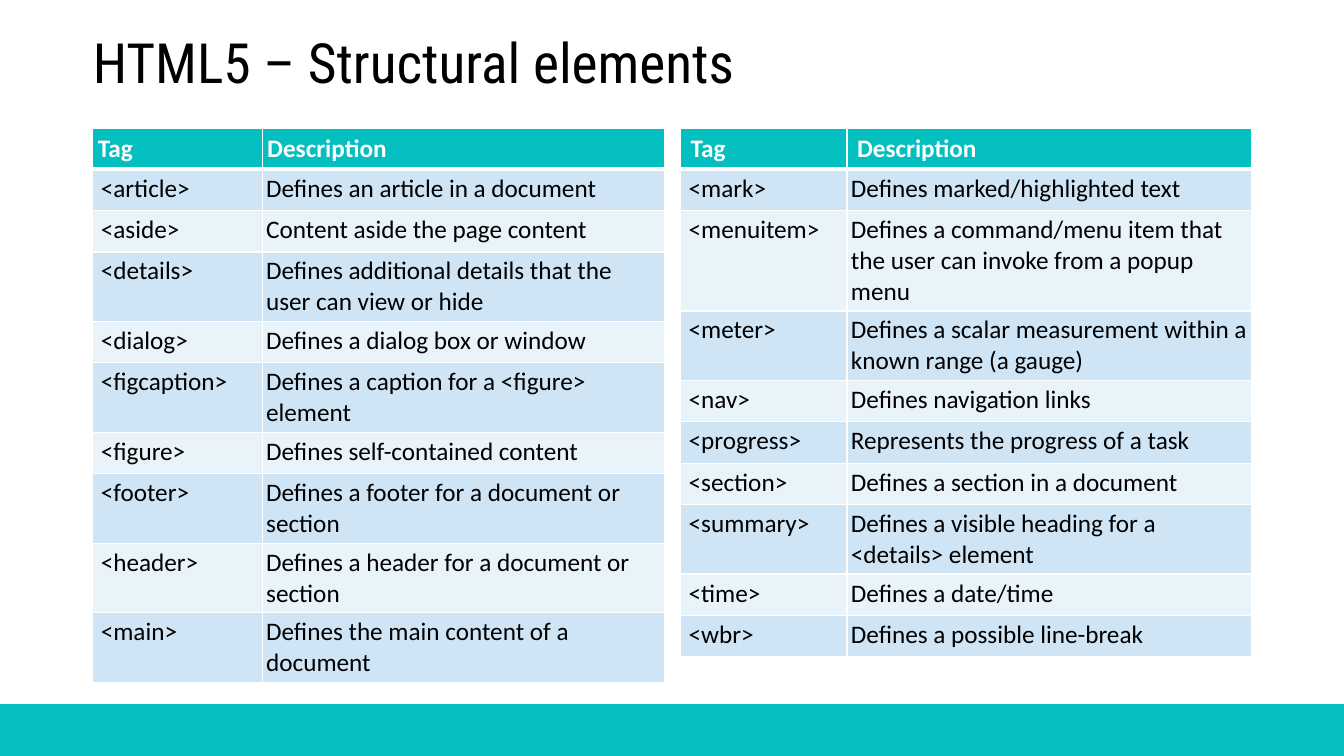
from lxml import etree
from pptx import Presentation
from pptx.dml.color import RGBColor
from pptx.enum.shapes import MSO_SHAPE
from pptx.enum.text import MSO_ANCHOR, MSO_AUTO_SIZE, PP_ALIGN
from pptx.oxml.ns import qn
from pptx.util import Inches, Pt

RECTANGLE = MSO_SHAPE.RECTANGLE
BOTTOM, TOP = MSO_ANCHOR.BOTTOM, MSO_ANCHOR.TOP
NO_AUTOFIT = MSO_AUTO_SIZE.NONE
LEFT = PP_ALIGN.LEFT

TEAL = RGBColor(0x04, 0xBF, 0xBF)
BLUE = RGBColor(0xCF, 0xE5, 0xF6)
PALE_BLUE = RGBColor(0xE9, 0xF3, 0xFA)
WHITE = RGBColor(0xFF, 0xFF, 0xFF)
BLACK = RGBColor(0, 0, 0)

TITLE_ONLY = 5
ROW_HEIGHT = 0.41
TAG_INSETS = (0.08, 0.04, 0.04, 0.04)
DESCRIPTION_INSETS = (0.04, 0.04, 0.04, 0.04)

HEADINGS = ("Tag", "Description")
ARTICLE_TO_MAIN = [
    ("<article>", "Defines an article in a document"),
    ("<aside>", "Content aside the page content"),
    ("<details>", "Defines additional details that the user can view or hide"),
    ("<dialog>", "Defines a dialog box or window"),
    ("<figcaption>", "Defines a caption for a <figure> element"),
    ("<figure>", "Defines self-contained content"),
    ("<footer>", "Defines a footer for a document or section"),
    ("<header>", "Defines a header for a document or section"),
    ("<main>", "Defines the main content of a document"),
]
MARK_TO_WBR = [
    ("<mark>", "Defines marked/highlighted text"),
    ("<menuitem>", "Defines a command/menu item that the user can invoke from a popup menu"),
    ("<meter>", "Defines a scalar measurement within a known range (a gauge)"),
    ("<nav>", "Defines navigation links"),
    ("<progress>", "Represents the progress of a task"),
    ("<section>", "Defines a section in a document"),
    ("<summary>", "Defines a visible heading for a <details> element"),
    ("<time>", "Defines a date/time"),
    ("<wbr>", "Defines a possible line-break"),
]


def write(frame, text, font="Calibri", size=18, color=BLACK, bold=False, spacing=1.0):
    paragraph = frame.paragraphs[0]
    paragraph.alignment = LEFT
    paragraph.line_spacing = spacing
    run = paragraph.add_run()
    run.text = text
    run.font.name = font
    run.font.size = Pt(size)
    run.font.bold = bold
    run.font.color.rgb = color


def set_insets(target, insets):
    (target.margin_left, target.margin_top,
     target.margin_right, target.margin_bottom) = map(Inches, insets)


def set_borders(cell, top, bottom):
    properties = cell._tc.get_or_add_tcPr()
    for side, width in (("L", 1), ("R", 1), ("T", top), ("B", bottom)):
        line = etree.SubElement(properties, qn(f"a:ln{side}"), w=str(Pt(width)))
        fill = etree.SubElement(line, qn("a:solidFill"))
        etree.SubElement(fill, qn("a:srgbClr"), val=str(WHITE))


class ElementsSlide:
    def __init__(self, presentation):
        self.slide = presentation.slides.add_slide(presentation.slide_layouts[TITLE_ONLY])
        self.accent = TEAL
        self.bands = (BLUE, PALE_BLUE)

    def bar(self, left, top, width, height):
        bar = self.slide.shapes.add_shape(RECTANGLE, *map(Inches, (left, top, width, height)))
        bar.shadow.inherit = False
        bar.fill.solid()
        bar.fill.fore_color.rgb = self.accent
        bar.line.color.rgb = self.accent
        bar.line.width = Pt(1)

    def title(self, text, left, top, width, height):
        title = self.slide.shapes.title
        title.left, title.top, title.width, title.height = map(
            Inches, (left, top, width, height))
        frame = title.text_frame
        frame.word_wrap = True
        frame.auto_size = NO_AUTOFIT
        frame.vertical_anchor = BOTTOM
        set_insets(frame, (0, 0.05, 0.1, 0.05))
        write(frame, text, font="Roboto Condensed", size=39.6, spacing=0.9)

    def cell(self, cell, text, insets, fill, top=1, bottom=1, **text_format):
        set_borders(cell, top, bottom)
        cell.fill.solid()
        cell.fill.fore_color.rgb = fill
        cell.vertical_anchor = TOP
        set_insets(cell, insets)
        write(cell.text_frame, text, **text_format)

    def table(self, entries, left, top, widths, heading_insets):
        count = len(entries) + 1
        table = self.slide.shapes.add_table(
            count, len(widths), Inches(left), Inches(top),
            Inches(sum(widths)), Inches(ROW_HEIGHT * count)).table
        for column, width in zip(table.columns, widths):
            column.width = Inches(width)
        for row in table.rows:
            row.height = Inches(ROW_HEIGHT)
        # Heading row
        for column, heading in enumerate(HEADINGS):
            self.cell(table.cell(0, column), heading, heading_insets, self.accent,
                      bottom=3, color=WHITE, bold=True)
        # Banded element rows
        for row, entry in enumerate(entries, start=1):
            band = self.bands[(row - 1) % 2]
            for column, insets in enumerate((TAG_INSETS, DESCRIPTION_INSETS)):
                self.cell(table.cell(row, column), entry[column], insets, band,
                          top=3 if row == 1 else 1)


def main():
    presentation = Presentation()
    presentation.slide_width = Inches(13.33)
    presentation.slide_height = Inches(7.5)
    elements = ElementsSlide(presentation)

    # Footer bar and title
    elements.bar(0, 6.99, 13.33, 0.51)
    elements.title("HTML5 – Structural elements", 0.92, 0.36, 10.16, 0.64)

    # Element tables
    elements.table(ARTICLE_TO_MAIN, 0.92, 1.27, (1.68, 3.99), (0.05, 0.05, 0.05, 0.05))
    elements.table(MARK_TO_WBR, 6.75, 1.27, (1.65, 4.01), (0.1, 0.05, 0.1, 0.05))

    presentation.save("out.pptx")


if __name__ == "__main__":
    main()
